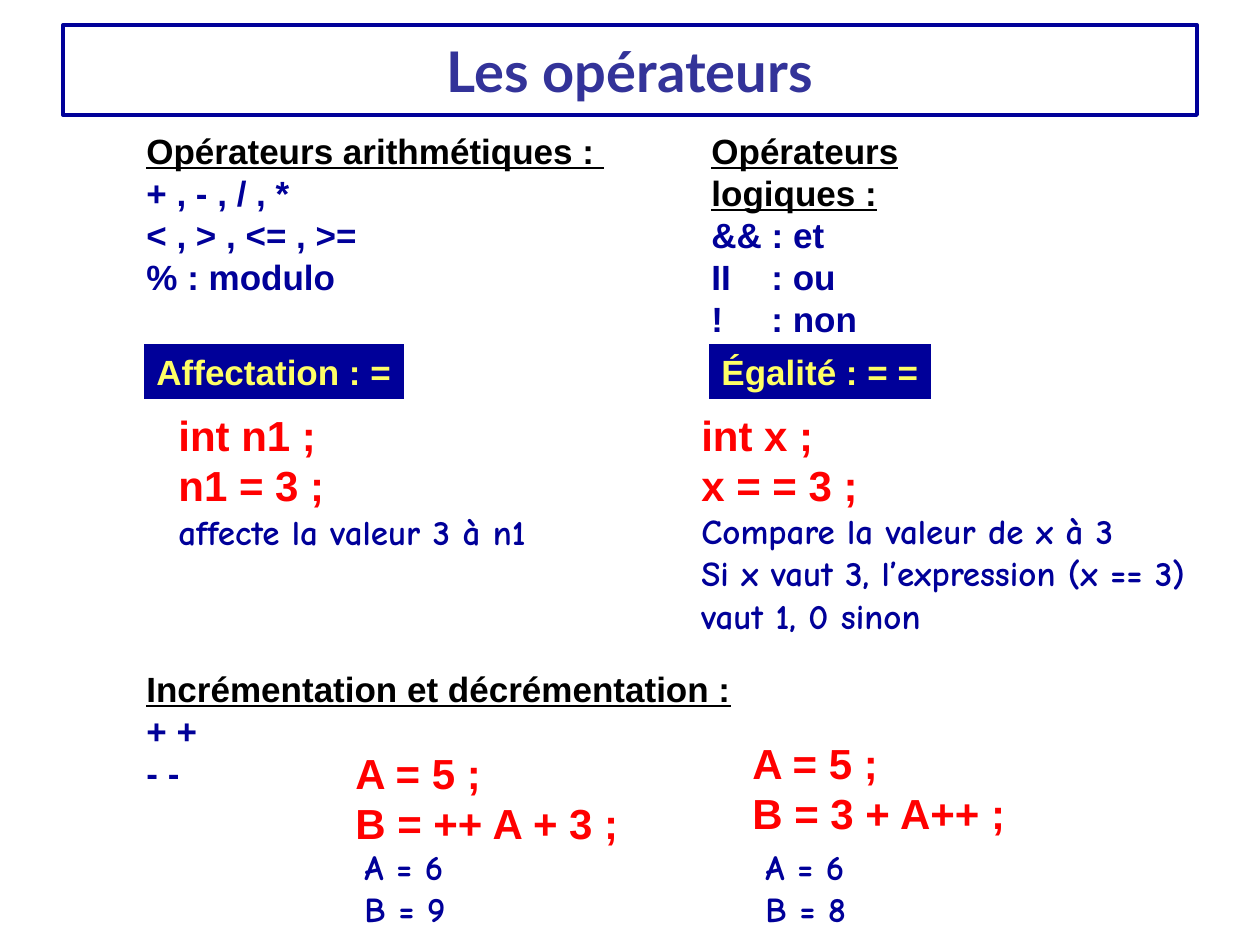
from dataclasses import dataclass

from lxml import etree
from pptx import Presentation
from pptx.dml.color import RGBColor
from pptx.enum.shapes import MSO_SHAPE
from pptx.enum.text import MSO_ANCHOR, MSO_AUTO_SIZE, PP_ALIGN
from pptx.oxml.ns import qn
from pptx.util import Emu, Pt

RECTANGLE = MSO_SHAPE.RECTANGLE
TOP, MIDDLE = MSO_ANCHOR.TOP, MSO_ANCHOR.MIDDLE
LEFT, CENTER = PP_ALIGN.LEFT, PP_ALIGN.CENTER
GROW, FIXED = MSO_AUTO_SIZE.SHAPE_TO_FIT_TEXT, MSO_AUTO_SIZE.NONE
EMU_PER_PX = 914400 / 126
TITLE_ONLY = 5
LOGIC_TAB = 60

COLORS = {
    "title": "333399",
    "navy": "000099",
    "black": "000000",
    "red": "FF0000",
    "yellow": "FFFF66",
}
STYLES = {
    "heading": dict(size=20, font="Arial", color="black", underline=True),
    "symbol": dict(size=20, font="Arial", color="navy"),
    "label": dict(size=20, font="Arial", color="yellow"),
    "code": dict(size=24, font="Arial", color="red"),
    "remark": dict(size=20, font="Comic Neue", color="navy"),
}


@dataclass(frozen=True)
class Line:
    style: str
    text: str


@dataclass(frozen=True)
class Block:
    left: int
    top: int
    width: int
    height: int
    lines: tuple[Line, ...]
    wrap: bool = False
    fill: str | None = None


BLOCKS = (
    Block(134, 123, 483, 181, (
        Line("heading", "Opérateurs arithmétiques : "),
        Line("symbol", "+ , - , / , *"),
        Line("symbol", "< , > , <= , >="),
        Line("symbol", "% : modulo"),
    )),
    Block(699, 123, 387, 181, (
        Line("heading", "Opérateurs logiques :"),
        Line("symbol", "&& : et"),
        Line("symbol", "II\t: ou"),
        Line("symbol", "!\t: non"),
    )),
    Block(144, 344, 260, 55, (Line("label", "Affectation : ="),), fill="navy"),
    Block(709, 344, 222, 55, (Line("label", "Égalité : = ="),), fill="navy"),
    Block(166, 403, 374, 156, (
        Line("code", "int n1 ;"),
        Line("code", "n1 = 3 ;"),
        Line("remark", "affecte la valeur 3 à n1"),
    )),
    Block(689, 403, 517, 239, (
        Line("code", "int x ;"),
        Line("code", "x = = 3 ;"),
        Line("remark", "Compare la valeur de x à 3"),
        Line("remark", "Si x vaut 3, l’expression (x == 3) vaut 1, 0 sinon"),
    ), wrap=True),
    Block(134, 661, 610, 139, (
        Line("heading", "Incrémentation et décrémentation :"),
        Line("symbol", "+ +"),
        Line("symbol", "- -"),
    )),
    Block(343, 741, 291, 113, (
        Line("code", "A = 5 ;"),
        Line("code", "B = ++ A + 3 ;"),
    )),
    Block(740, 731, 280, 113, (
        Line("code", "A = 5 ;"),
        Line("code", "B = 3 + A++ ;"),
    )),
    Block(352, 839, 106, 97, (Line("remark", "A = 6"), Line("remark", "B = 9"))),
    Block(753, 839, 106, 97, (Line("remark", "A = 6"), Line("remark", "B = 8"))),
)


def px(length: int) -> Emu:
    return Emu(round(length * EMU_PER_PX))


def rgb(name: str) -> RGBColor:
    return RGBColor.from_string(COLORS[name])


def write_text(para, text: str, *, size: int, font: str, color: str,
               underline: bool = False, align=LEFT) -> None:
    para.alignment = align
    if "\t" in text:
        tabs = etree.SubElement(para._p.get_or_add_pPr(), qn("a:tabLst"))
        etree.SubElement(tabs, qn("a:tab"), pos=str(px(LOGIC_TAB)), algn="l")
    span = para.add_run()
    span.text = text
    span.font.name = font
    span.font.size = Pt(size)
    span.font.bold = True
    span.font.underline = underline
    span.font.color.rgb = rgb(color)


def draw_title(page, text: str) -> None:
    title = page.shapes.title
    title.left, title.top, title.width, title.height = map(px, (63, 25, 1134, 90))
    title.line.color.rgb = rgb("navy")
    title.line.width = Pt(2.25)
    frame = title.text_frame
    frame.auto_size = FIXED
    frame.vertical_anchor = MIDDLE
    write_text(frame.paragraphs[0], text, size=32, font="Lato",
               color="title", align=CENTER)


def draw_block(page, block: Block) -> None:
    bounds = [px(side) for side in (block.left, block.top, block.width, block.height)]
    if block.fill:
        box = page.shapes.add_shape(RECTANGLE, *bounds)
        box.shadow.inherit = False
        box.fill.solid()
        box.fill.fore_color.rgb = rgb(block.fill)
        box.line.fill.background()
    else:
        box = page.shapes.add_textbox(*bounds)
    frame = box.text_frame
    frame.word_wrap = block.wrap
    frame.auto_size = GROW
    frame.vertical_anchor = TOP
    for index, line in enumerate(block.lines):
        para = frame.add_paragraph() if index else frame.paragraphs[0]
        write_text(para, line.text, **STYLES[line.style])


def main() -> None:
    deck = Presentation()
    deck.slide_width, deck.slide_height = px(1260), px(945)
    page = deck.slides.add_slide(deck.slide_layouts[TITLE_ONLY])
    draw_title(page, "Les opérateurs")
    for block in BLOCKS:
        draw_block(page, block)
    deck.save("out.pptx")


if __name__ == "__main__":
    main()
